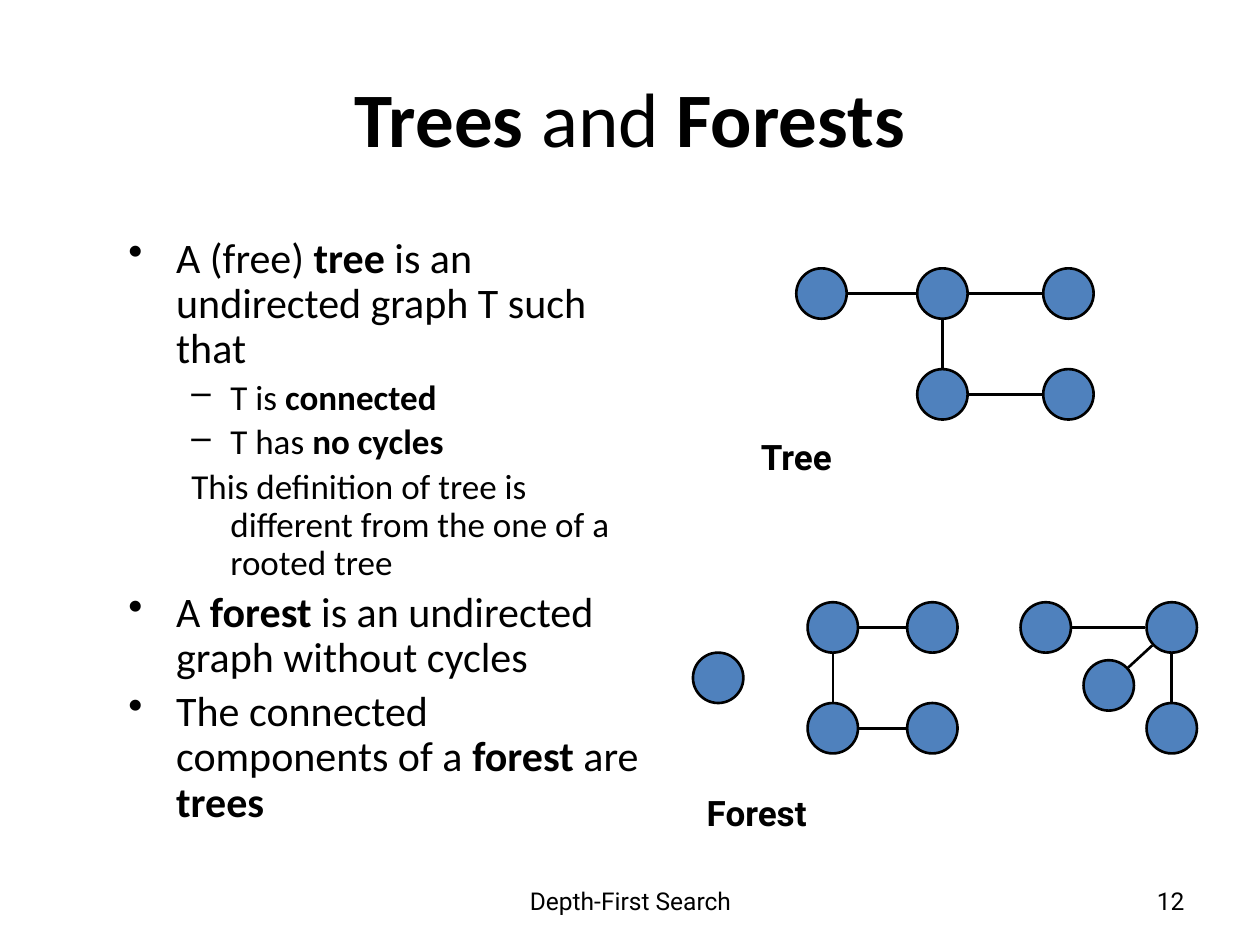
from math import hypot

from lxml.etree import SubElement
from pptx import Presentation
from pptx.dml.color import RGBColor
from pptx.enum.shapes import MSO_CONNECTOR, MSO_SHAPE
from pptx.enum.text import MSO_ANCHOR, PP_ALIGN
from pptx.oxml.ns import qn
from pptx.util import Inches, Pt

COLORS = {"ink": "000000", "node": "4F81BD"}
SIZE = 0.4
GAP = 0.21

BODY = [
    (0, "•", "A (free) *tree* is an undirected graph T such that"),
    (1, "–", "T is *connected*"),
    (1, "–", "T has *no cycles*"),
    (1, None, "This definition of tree is different from the one of a rooted tree"),
    (0, "•", "A *forest* is an undirected graph without cycles"),
    (0, "•", "The connected components of a *forest* are *trees*"),
]
LEVELS = [(24, 0.38, -0.38), (20, 0.81, -0.31)]


def color(name):
    return RGBColor.from_string(COLORS[name])


def add_frame(slide, box, anchor=MSO_ANCHOR.TOP):
    frame = slide.shapes.add_textbox(*map(Inches, box)).text_frame
    frame.word_wrap = True
    frame.vertical_anchor = anchor
    return frame


def style(para, size, face, bold=None):
    font = para.font
    font.size = Pt(size)
    font.name = face
    font.bold = bold
    font.color.rgb = color("ink")


def add_runs(para, text):
    for index, part in enumerate(text.split("*")):
        if part:
            run = para.add_run()
            run.text = part
            run.font.bold = index % 2 == 1


def add_title(slide, box, text):
    para = add_frame(slide, box, MSO_ANCHOR.MIDDLE).paragraphs[0]
    para.alignment = PP_ALIGN.CENTER
    add_runs(para, text)
    style(para, 44, "Calibri")


def add_body(slide, box, items):
    frame = add_frame(slide, box)
    for index, (level, mark, text) in enumerate(items):
        para = frame.add_paragraph() if index else frame.paragraphs[0]
        size, margin, indent = LEVELS[level]
        para.level = level
        para.line_spacing = 0.9
        para.space_before = Pt(size * 0.2)
        props = para._p.get_or_add_pPr()
        props.set("marL", str(Inches(margin)))
        props.set("indent", str(Inches(indent)))
        if mark:
            SubElement(props, qn("a:buChar")).set("char", mark)
        else:
            SubElement(props, qn("a:buNone"))
        add_runs(para, text)
        style(para, size, "Calibri")


def add_label(slide, box, text):
    para = add_frame(slide, box).paragraphs[0]
    para.text = text
    style(para, 20, "Roboto", True)


def add_footer(slide, box, text, align):
    para = add_frame(slide, box, MSO_ANCHOR.MIDDLE).paragraphs[0]
    para.text = text
    para.alignment = align
    style(para, 14, "Roboto")


def add_node(slide, left, top):
    node = slide.shapes.add_shape(
        MSO_SHAPE.OVAL, Inches(left), Inches(top), Inches(SIZE), Inches(SIZE))
    node.shadow.inherit = False
    node.fill.solid()
    node.fill.fore_color.rgb = color("node")
    node.line.color.rgb = color("ink")
    node.line.width = Pt(1.5)


def add_edge(slide, start, end):
    (x1, y1), (x2, y2) = start, end
    length = hypot(x2 - x1, y2 - y1)
    dx, dy = (x2 - x1) / length * GAP, (y2 - y1) / length * GAP
    points = (x1 + dx, y1 + dy, x2 - dx, y2 - dy)
    edge = slide.shapes.add_connector(MSO_CONNECTOR.STRAIGHT, *map(Inches, points))
    edge.line.color.rgb = color("ink")
    edge.line.width = Pt(1.5)
    SubElement(edge._element.spPr, qn("a:effectLst"))


def add_graph(slide, left, top, nodes, edges=()):
    spots = [(left + x, top + y) for x, y in nodes]
    for spot in spots:
        add_node(slide, *spot)
    mids = [(x + SIZE / 2, y + SIZE / 2) for x, y in spots]
    for start, end in edges:
        add_edge(slide, mids[start], mids[end])


def add_tree(slide, left, top):
    nodes = [(0, 0), (0.96, 0), (1.96, 0), (0.96, 0.8), (1.96, 0.8)]
    add_graph(slide, left, top, nodes, [(0, 1), (1, 2), (1, 3), (3, 4)])
    add_label(slide, (left - 0.38, top + 1.28, 3.12, 0.43), "Tree")


def add_forest(slide, left, top):
    add_graph(slide, left, top + 0.4, [(0, 0)])
    square = [(0, 0), (0.79, 0), (0, 0.8), (0.79, 0.8)]
    add_graph(slide, left + 0.91, top, square, [(0, 1), (0, 2), (2, 3)])
    fan = [(0, 0), (1, 0), (1, 0.8), (0.5, 0.46)]
    add_graph(slide, left + 2.6, top, fan, [(0, 1), (1, 2), (1, 3)])
    add_label(slide, (left + 0.01, top + 1.45, 3.99, 0.43), "Forest")


def main():
    deck = Presentation()
    deck.slide_width, deck.slide_height = Inches(10), Inches(7.5)
    slide = deck.slides.add_slide(deck.slide_layouts[6])
    add_footer(slide, (3.42, 6.95, 3.17, 0.4), "Depth-First Search", PP_ALIGN.CENTER)
    add_footer(slide, (7.17, 6.95, 2.33, 0.4), "12", PP_ALIGN.RIGHT)
    add_title(slide, (0.5, 0.3, 9, 1.25), "*Trees* and *Forests*")
    add_body(slide, (0.92, 1.83, 4.25, 4.92), BODY)
    add_tree(slide, 6.32, 2.13)
    add_forest(slide, 5.5, 4.78)
    deck.save("out.pptx")


if __name__ == "__main__":
    main()
